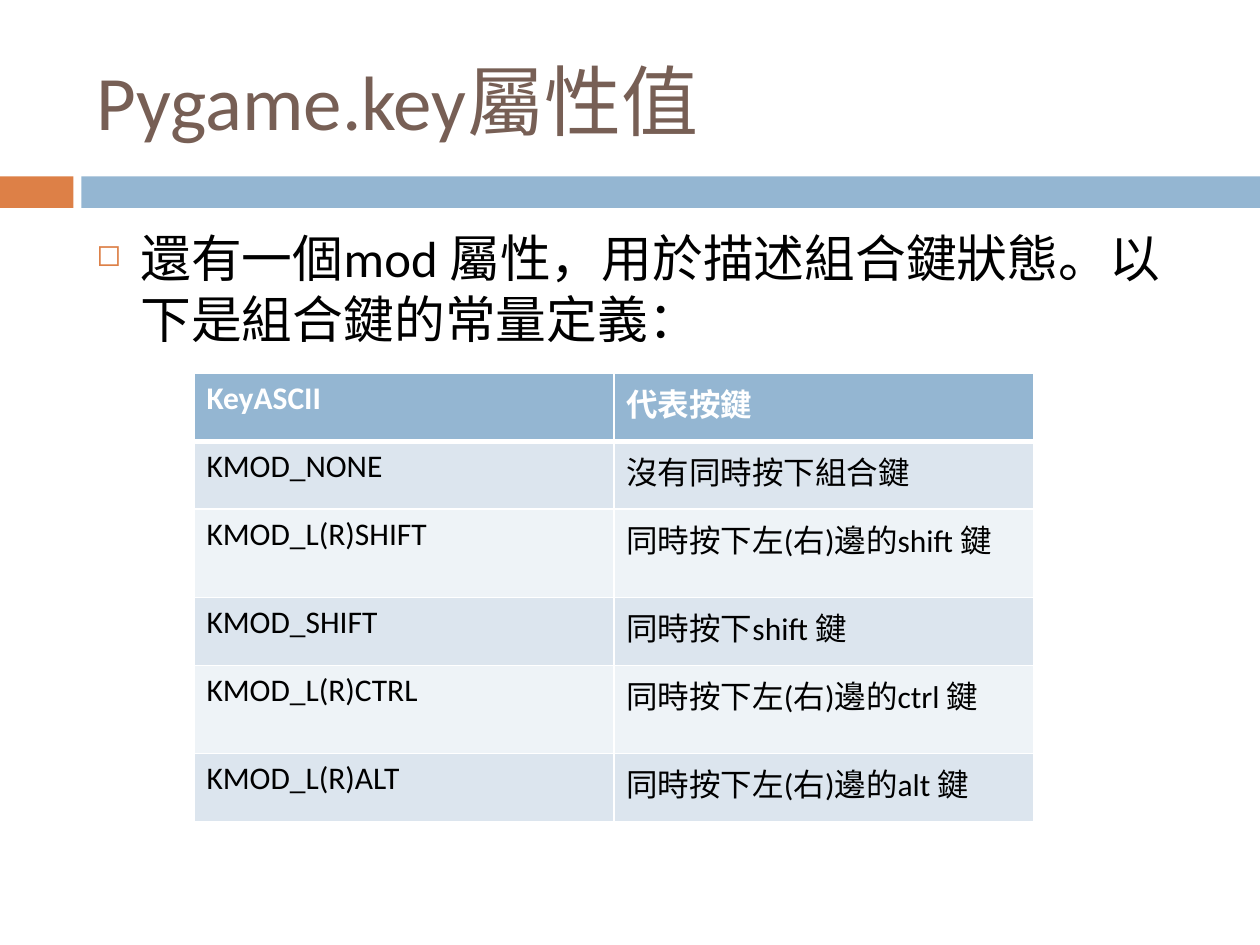
from dataclasses import dataclass

from lxml.etree import SubElement
from pptx import Presentation
from pptx.dml.color import RGBColor
from pptx.enum.shapes import MSO_SHAPE
from pptx.enum.text import MSO_ANCHOR, PP_ALIGN
from pptx.oxml.ns import qn
from pptx.util import Pt

TITLE = "Pygame.key屬性值"
INTRO = "還有一個mod 屬性，用於描述組合鍵狀態。以下是組合鍵的常量定義："
KEY_ROWS = [
    ("KeyASCII", "代表按鍵"),
    ("KMOD_NONE", "沒有同時按下組合鍵"),
    ("KMOD_L(R)SHIFT", "同時按下左(右)邊的shift 鍵"),
    ("KMOD_SHIFT", "同時按下shift 鍵"),
    ("KMOD_L(R)CTRL", "同時按下左(右)邊的ctrl 鍵"),
    ("KMOD_L(R)ALT", "同時按下左(右)邊的alt 鍵"),
]


@dataclass(frozen=True)
class Theme:
    font: str = "Calibri"
    title_size: float = 44
    intro_size: float = 29
    table_size: float = 18
    title: str = "775F55"
    text: str = "000000"
    white: str = "FFFFFF"
    accent: str = "DD8047"
    band: str = "94B6D2"
    row_dark: str = "DCE5EE"
    row_light: str = "EEF3F7"


THEME = Theme()
SLIDE_W, SLIDE_H = 720, 540
MARGIN, CONTENT_W = 48, 642
BAND_TOP, BAND_H = 100.8, 18
ACCENT_W, BAND_LEFT = 42, 46.5
TABLE_LEFT, TABLE_TOP = 110.8, 213.4
COLUMN_W, ROW_H = 240, 38.8
BULLET_INDENT = 25.2


def write(frame, text, *, size, color, bold=False, anchor=MSO_ANCHOR.TOP):
    frame.word_wrap = True
    frame.vertical_anchor = anchor
    paragraph = frame.paragraphs[0]
    paragraph.alignment = PP_ALIGN.LEFT
    run = paragraph.add_run()
    run.text = text
    run.font.name = THEME.font
    run.font.size = Pt(size)
    run.font.bold = bold
    run.font.color.rgb = RGBColor.from_string(color)
    return paragraph


def add_band(slide, left, width, color):
    band = slide.shapes.add_shape(
        MSO_SHAPE.RECTANGLE, Pt(left), Pt(BAND_TOP), Pt(width), Pt(BAND_H))
    band.shadow.inherit = False
    band.fill.solid()
    band.fill.fore_color.rgb = RGBColor.from_string(color)
    band.line.fill.background()


def add_bullet(paragraph, char, color, percent):
    props = paragraph._p.get_or_add_pPr()
    props.set("marL", str(Pt(BULLET_INDENT)))
    props.set("indent", str(-Pt(BULLET_INDENT)))
    bullet_color = SubElement(props, qn("a:buClr"))
    SubElement(bullet_color, qn("a:srgbClr"), val=color)
    SubElement(props, qn("a:buSzPct"), val=str(percent * 1000))
    SubElement(props, qn("a:buChar"), char=char)


def set_borders(cell, widths):
    """Draw white borders; must run before the cell gets its fill."""
    props = cell._tc.get_or_add_tcPr()
    for side, width in widths.items():
        line = SubElement(props, qn(f"a:ln{side}"), w=str(Pt(width)))
        fill = SubElement(line, qn("a:solidFill"))
        SubElement(fill, qn("a:srgbClr"), val=THEME.white)


def add_key_table(slide):
    row_count, column_count = len(KEY_ROWS), len(KEY_ROWS[0])
    table = slide.shapes.add_table(
        row_count, column_count, Pt(TABLE_LEFT), Pt(TABLE_TOP),
        Pt(COLUMN_W * column_count), Pt(ROW_H * row_count)).table
    for column in table.columns:
        column.width = Pt(COLUMN_W)
    for index, labels in enumerate(KEY_ROWS):
        table.rows[index].height = Pt(ROW_H)
        header = index == 0
        stripe = THEME.row_dark if index % 2 else THEME.row_light
        for column, label in enumerate(labels):
            cell = table.cell(index, column)
            set_borders(cell, {"L": 1, "R": 1, "T": 3 if index == 1 else 1,
                               "B": 3 if header else 1})
            cell.fill.solid()
            cell.fill.fore_color.rgb = RGBColor.from_string(
                THEME.band if header else stripe)
            write(cell.text_frame, label, size=THEME.table_size, bold=header,
                  color=THEME.white if header else THEME.text)


def main():
    deck = Presentation()
    deck.slide_width, deck.slide_height = Pt(SLIDE_W), Pt(SLIDE_H)
    slide = deck.slides.add_slide(deck.slide_layouts[5])

    add_band(slide, 0, ACCENT_W, THEME.accent)
    add_band(slide, BAND_LEFT, SLIDE_W - BAND_LEFT, THEME.band)

    title = slide.shapes.title
    title.left, title.top = Pt(MARGIN), Pt(18)
    title.width, title.height = Pt(CONTENT_W), Pt(78)
    write(title.text_frame, TITLE, size=THEME.title_size, color=THEME.title,
          anchor=MSO_ANCHOR.MIDDLE)

    intro = slide.shapes.add_textbox(
        Pt(MARGIN), Pt(126), Pt(CONTENT_W), Pt(354))
    paragraph = write(intro.text_frame, INTRO, size=THEME.intro_size,
                      color=THEME.text)
    paragraph.space_before = Pt(7)
    add_bullet(paragraph, "◻", THEME.accent, 60)

    add_key_table(slide)
    deck.save("out.pptx")


if __name__ == "__main__":
    main()
